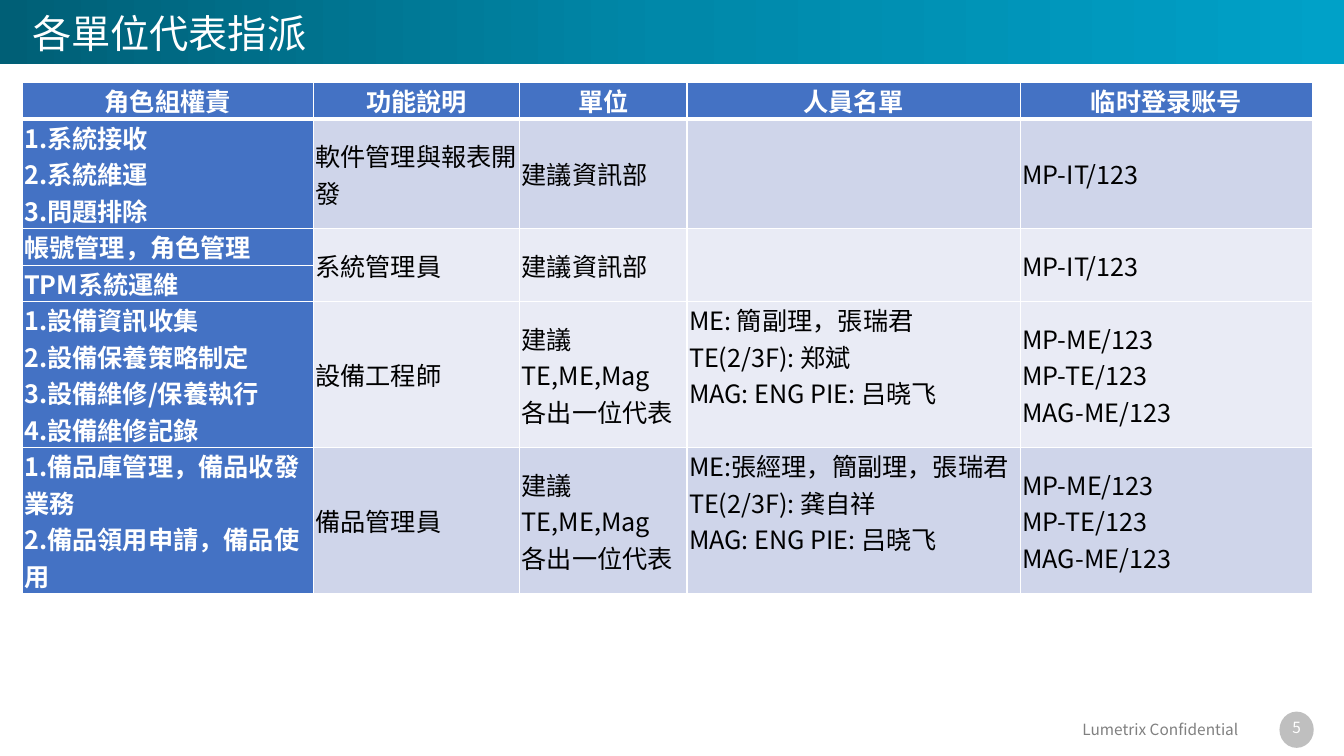
from collections import namedtuple
from copy import deepcopy
from dataclasses import dataclass

from lxml.etree import SubElement
from pptx import Presentation
from pptx.dml.color import RGBColor as Color
from pptx.enum.shapes import MSO_SHAPE as Preset
from pptx.enum.text import MSO_ANCHOR as Anchor, PP_ALIGN as Align
from pptx.oxml.ns import qn
from pptx.util import Inches, Pt

Box = namedtuple("Box", "left top width height")


@dataclass(frozen=True)
class Theme:
    """Colours, typeface and type sizes of the slide."""
    font: str = "Noto Sans CJK SC"
    white: str = "FFFFFF"
    black: str = "000000"
    footer: str = "808080"
    badge: str = "BFBFBF"
    accent: str = "4472C4"
    band_dark: str = "CFD5EA"
    band_light: str = "E9EBF5"
    banner: tuple = ("005F76", "0088A9", "00A1C8")
    title_size: int = 28
    table_size: int = 18
    footer_size: int = 11


THEME = Theme()
SLIDE = Box(0, 0, 13.33, 7.5)
BANNER = Box(0, 0, SLIDE.width, 0.64)
TABLE = Box(0.22, 0.82, 12.8, 5.07)
FOOTER = Box(10.23, 7.06, 2.8, 0.36)

COLUMN_SHARES = (2.89, 2.05, 1.66, 3.31, 2.9)
ROW_LINES = (1, 3, 1, 1, 4, 4)
BANDS = (THEME.accent, THEME.band_dark, THEME.band_light,
         THEME.band_light, THEME.band_light, THEME.band_dark)
MERGED_ROWS = (2, 3)
NAME_COLUMN = 3
REPRESENTATIVES = "建議TE,ME,Mag\n各出一位代表"
ACCOUNTS = "MP-ME/123\nMP-TE/123\nMAG-ME/123"
ROWS = (
    ("角色組權責", "功能說明", "單位", "人員名單", "临时登录账号"),
    ("1.系統接收\v2.系統維運\v3.問題排除", "軟件管理與報表開發", "建議資訊部", "", "MP-IT/123"),
    ("帳號管理，角色管理", "系統管理員", "建議資訊部", "", "MP-IT/123"),
    ("TPM系統運維", "", "", "", ""),
    ("1.設備資訊收集\v2.設備保養策略制定\v3.設備維修/保養執行\v4.設備維修記錄",
     "設備工程師", REPRESENTATIVES,
     "ME: 簡副理，張瑞君\nTE(2/3F): 郑斌\nMAG: ENG PIE: 吕晓飞", ACCOUNTS),
    ("1.備品庫管理，備品收發業務\v2.備品領用申請，備品使用",
     "備品管理員", REPRESENTATIVES,
     "ME:張經理，簡副理，張瑞君\nTE(2/3F): 龚自祥\nMAG: ENG PIE: 吕晓飞", ACCOUNTS),
)


def place(box):
    """Return the box as four lengths."""
    return tuple(Inches(value) for value in box)


def write(text_frame, text, *, size, color, bold=False, align=Align.LEFT, spacing=None):
    """Fill a text frame with evenly formatted paragraphs."""
    text_frame.text = text
    for paragraph in text_frame.paragraphs:
        paragraph.alignment = align
        if spacing:
            paragraph.line_spacing = spacing
        for run in paragraph.runs:
            run.font.size = Pt(size)
            run.font.bold = bold
            run.font.name = THEME.font
            run.font.color.rgb = Color.from_string(color)
            SubElement(run.font._element, qn("a:ea"), typeface=THEME.font)


def add_plain_shape(slide, preset, box):
    """Add a shape without shadow or outline."""
    shape = slide.shapes.add_shape(preset, *place(box))
    shape.shadow.inherit = False
    shape.line.fill.background()
    return shape


def add_label(slide, box, text, *, wrap=True, **style):
    """Add a vertically centred text box."""
    frame = slide.shapes.add_textbox(*place(box)).text_frame
    frame.word_wrap = wrap
    frame.vertical_anchor = Anchor.MIDDLE
    write(frame, text, **style)


def add_banner(slide, box):
    """Draw the gradient banner and the title on it."""
    banner = add_plain_shape(slide, Preset.RECTANGLE, box)
    banner.fill.gradient()
    banner.fill.gradient_angle = 0
    stop_list = banner._element.spPr.find(qn("a:gradFill")).find(qn("a:gsLst"))
    stop_list.insert(1, deepcopy(stop_list[0]))
    for index, (stop, color) in enumerate(zip(banner.fill.gradient_stops, THEME.banner)):
        stop.position = index / 2
        stop.color.rgb = Color.from_string(color)
    title = Box(box.left + 0.22, box.top + 0.09, 2.95, 0.52)
    add_label(slide, title, "各單位代表指派", wrap=False, size=THEME.title_size,
              color=THEME.white, spacing=0.9)


def add_borders(cell, bottom):
    """Draw white cell borders with the given bottom width."""
    properties = cell._tc.get_or_add_tcPr()
    for side, width in (("L", 1), ("R", 1), ("T", 1), ("B", bottom)):
        line = SubElement(properties, qn(f"a:ln{side}"), w=str(Pt(width)))
        fill = SubElement(line, qn("a:solidFill"))
        SubElement(fill, qn("a:srgbClr"), val=THEME.white)


def format_cell(cell, row, column):
    """Style and fill one cell according to its row and column."""
    header = row == 0
    strong = header or column == 0
    add_borders(cell, 3 if header else 1)
    cell.fill.solid()
    cell.fill.fore_color.rgb = Color.from_string(THEME.accent if strong else BANDS[row])
    cell.margin_left = cell.margin_right = Inches(0.02)
    cell.margin_top = cell.margin_bottom = 0
    top_aligned = column == NAME_COLUMN and not header
    cell.vertical_anchor = Anchor.TOP if top_aligned else Anchor.MIDDLE
    write(cell.text_frame, ROWS[row][column], size=THEME.table_size,
          color=THEME.white if strong else THEME.black, bold=strong,
          align=Align.CENTER if header else Align.LEFT)


def add_role_table(slide, box):
    """Draw the table of roles, units, people and accounts."""
    frame = slide.shapes.add_table(len(ROWS), len(COLUMN_SHARES), *place(box))
    table = frame.table
    for column, share in zip(table.columns, COLUMN_SHARES):
        column.width = Inches(box.width * share / sum(COLUMN_SHARES))
    for row, lines in zip(table.rows, ROW_LINES):
        row.height = Inches(box.height * lines / sum(ROW_LINES))
    for row in range(len(ROWS)):
        for column in range(len(COLUMN_SHARES)):
            format_cell(table.cell(row, column), row, column)
    first, last = MERGED_ROWS
    for column in range(1, len(COLUMN_SHARES)):
        table.cell(first, column).merge(table.cell(last, column))


def add_footer(slide, box):
    """Draw the confidentiality label and the page number badge."""
    badge_width = 0.34
    badge_box = Box(box.left + box.width - badge_width, box.top, badge_width, box.height)
    badge = add_plain_shape(slide, Preset.OVAL, badge_box)
    badge.fill.solid()
    badge.fill.fore_color.rgb = Color.from_string(THEME.badge)
    frame = badge.text_frame
    frame.margin_left = frame.margin_right = frame.margin_top = 0
    frame.margin_bottom = Inches(0.04)
    frame.vertical_anchor = Anchor.MIDDLE
    style = dict(size=THEME.footer_size, align=Align.CENTER)
    write(frame, "5", color=THEME.white, **style)
    label = Box(box.left, box.top + 0.03, 2.56, 0.3)
    add_label(slide, label, "Lumetrix Confidential", color=THEME.footer, **style)


def main():
    """Build and save the presentation."""
    presentation = Presentation()
    presentation.slide_width = Inches(SLIDE.width)
    presentation.slide_height = Inches(SLIDE.height)
    slide = presentation.slides.add_slide(presentation.slide_layouts[6])
    add_banner(slide, BANNER)
    add_footer(slide, FOOTER)
    add_role_table(slide, TABLE)
    presentation.save("out.pptx")


if __name__ == "__main__":
    main()
